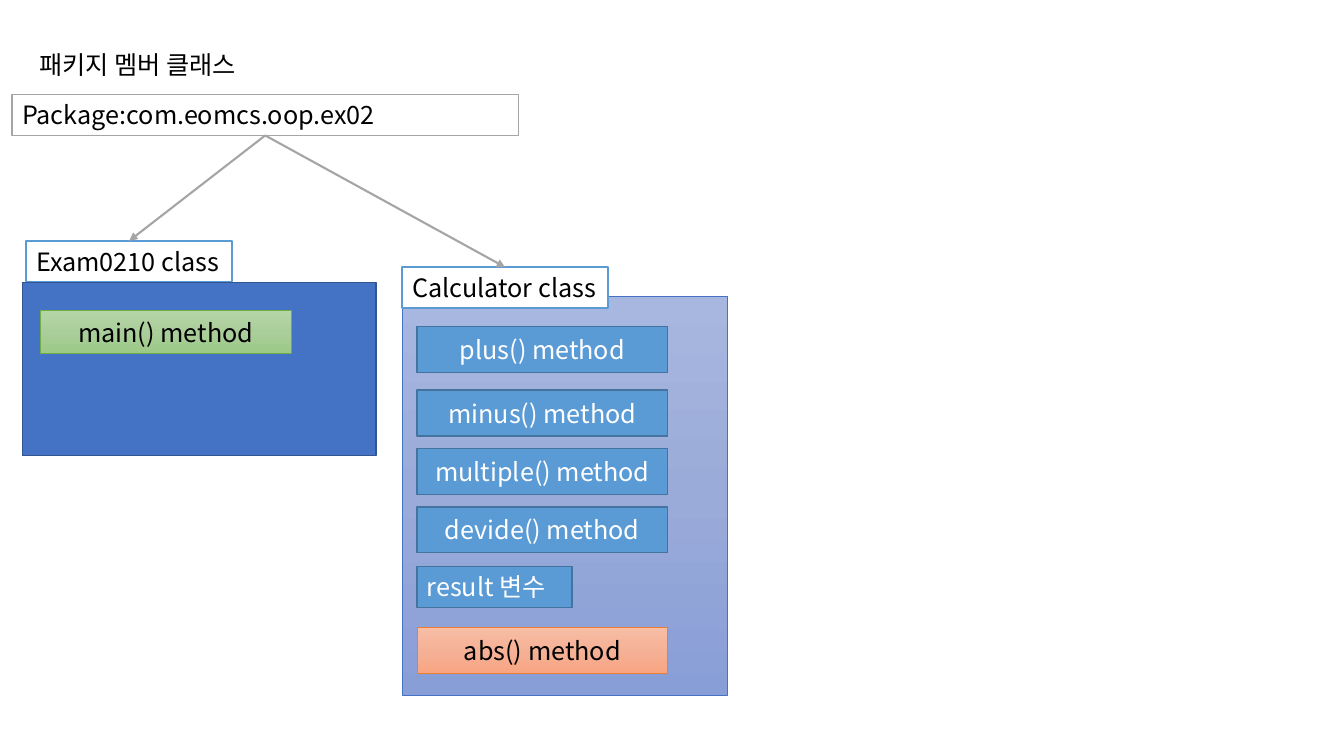
import copy

import pptx
import pptx.dml.color
import pptx.enum.shapes
import pptx.enum.text
import pptx.oxml
import pptx.oxml.ns
import pptx.util

RGBColor = pptx.dml.color.RGBColor
PP_ALIGN = pptx.enum.text.PP_ALIGN
MSO_ANCHOR = pptx.enum.text.MSO_ANCHOR

FONT = "Noto Sans CJK KR"
BLACK = RGBColor(0x00, 0x00, 0x00)
WHITE = RGBColor(0xFF, 0xFF, 0xFF)
GRAY = RGBColor(0xA5, 0xA5, 0xA5)
SKY = RGBColor(0x5B, 0x9B, 0xD5)
SKY_EDGE = RGBColor(0x43, 0x73, 0x9E)
BLUE = RGBColor(0x44, 0x72, 0xC4)
BLUE_EDGE = RGBColor(0x32, 0x54, 0x91)
GREEN = RGBColor(0x70, 0xAD, 0x47)
ORANGE = RGBColor(0xED, 0x7D, 0x31)
BLUE_FADE = [RGBColor(0xA8, 0xB7, 0xDF), RGBColor(0x9A, 0xAB, 0xD9), RGBColor(0x88, 0x9E, 0xD7)]
GREEN_FADE = [RGBColor(0xB5, 0xD5, 0xA7), RGBColor(0xAA, 0xCE, 0x9A), RGBColor(0x9C, 0xC9, 0x87)]
ORANGE_FADE = [RGBColor(0xF7, 0xBD, 0xA5), RGBColor(0xF5, 0xB1, 0x96), RGBColor(0xF8, 0xA5, 0x82)]

prs = pptx.Presentation()
prs.slide_width = pptx.util.Inches(13.333)
prs.slide_height = pptx.util.Inches(7.5)
s = prs.slides.add_slide(prs.slide_layouts[5])

# Grid of 64 columns by 36 rows
COL = prs.slide_width / 64
ROW = prs.slide_height / 36
LABEL_H = 1.94
TAB_W = 9.8
METHOD_X, METHOD_W, METHOD_H = 19.85, 11.95, 2.18


def write(sp, text, color, align, anchor):
    tf = sp.text_frame
    tf.word_wrap = True
    tf.auto_size = pptx.enum.text.MSO_AUTO_SIZE.NONE
    tf.vertical_anchor = anchor
    p = tf.paragraphs[0]
    p.alignment = align
    r = p.add_run()
    r.text = text
    r.font.size = pptx.util.Pt(18)
    r.font.color.rgb = color
    r.font.name = FONT
    ea = pptx.oxml.parse_xml(f'<a:ea {pptx.oxml.ns.nsdecls("a")} typeface="{FONT}"/>')
    r.font._element.find(pptx.oxml.ns.qn("a:latin")).addnext(ea)


def add_box(x, y, w, h, fill, edge, text="", color=BLACK, centered=False):
    sp = s.shapes.add_shape(pptx.enum.shapes.MSO_SHAPE.RECTANGLE,
                            round(x * COL), round(y * ROW), round(w * COL), round(h * ROW))
    sp.shadow.inherit = False
    sp.line.color.rgb = edge
    if isinstance(fill, list):
        sp.line.width = pptx.util.Pt(0.5)
        sp.fill.gradient()
        sp.fill.gradient_angle = 270
        first = sp.fill._xPr.find(".//" + pptx.oxml.ns.qn("a:gs"))
        first.addnext(copy.deepcopy(first))
        for stop, shade, position in zip(sp.fill.gradient_stops, fill, (0, 0.5, 1)):
            stop.color.rgb = shade
            stop.position = position
    else:
        sp.line.width = pptx.util.Pt(1)
        sp.fill.solid()
        sp.fill.fore_color.rgb = fill
    if text:
        write(sp, text, color,
              PP_ALIGN.CENTER if centered else PP_ALIGN.LEFT,
              MSO_ANCHOR.MIDDLE if centered else MSO_ANCHOR.TOP)
    return sp


# Title
title = s.shapes.title
title.left, title.top = round(1.39 * COL), round(2.11 * ROW)
title.width, title.height = round(13.1 * COL), round(LABEL_H * ROW)
write(title, "패키지 멤버 클래스", BLACK, PP_ALIGN.LEFT, MSO_ANCHOR.TOP)

# Package and its two classes
package = add_box(0.58, 4.51, 24.1, LABEL_H, WHITE, GRAY, "Package:com.eomcs.oop.ex02")
exam = add_box(1.25, 11.47, TAB_W, LABEL_H, WHITE, SKY, "Exam0210 class")
add_box(1.06, 13.44, 16.85, 8.26, BLUE, BLUE_EDGE)
add_box(19.15, 14.11, 15.5, 19, BLUE_FADE, BLUE)
calculator = add_box(19.15, 12.72, TAB_W, LABEL_H, WHITE, SKY, "Calculator class")

# Calculator members
for name, y in [("plus", 15.55), ("minus", 18.58), ("multiple", 21.36), ("devide", 24.14)]:
    add_box(METHOD_X, y, METHOD_W, METHOD_H, SKY, SKY_EDGE, f"{name}() method", WHITE, True)
add_box(METHOD_X, 26.98, 7.39, LABEL_H, SKY, SKY_EDGE, "result 변수", WHITE)
add_box(METHOD_X, 29.9, METHOD_W, METHOD_H, ORANGE_FADE, ORANGE, "abs() method", BLACK, True)

# Exam0210 member
add_box(1.92, 14.78, METHOD_W, 2.06, GREEN_FADE, GREEN, "main() method", BLACK, True)

# Arrows from the package's bottom to the top of each class
for target in (exam, calculator):
    arrow = s.shapes.add_connector(pptx.enum.shapes.MSO_CONNECTOR.STRAIGHT, 0, 0, 0, 0)
    arrow.begin_connect(package, 2)
    arrow.end_connect(target, 0)
    arrow.line.color.rgb = GRAY
    arrow.line.width = pptx.util.Pt(1.5)
    ln = arrow.line._get_or_add_ln()
    ln.append(pptx.oxml.parse_xml(f'<a:tailEnd {pptx.oxml.ns.nsdecls("a")} type="triangle"/>'))
    ln.addnext(pptx.oxml.parse_xml(f'<a:effectLst {pptx.oxml.ns.nsdecls("a")}/>'))

prs.save("out.pptx")
